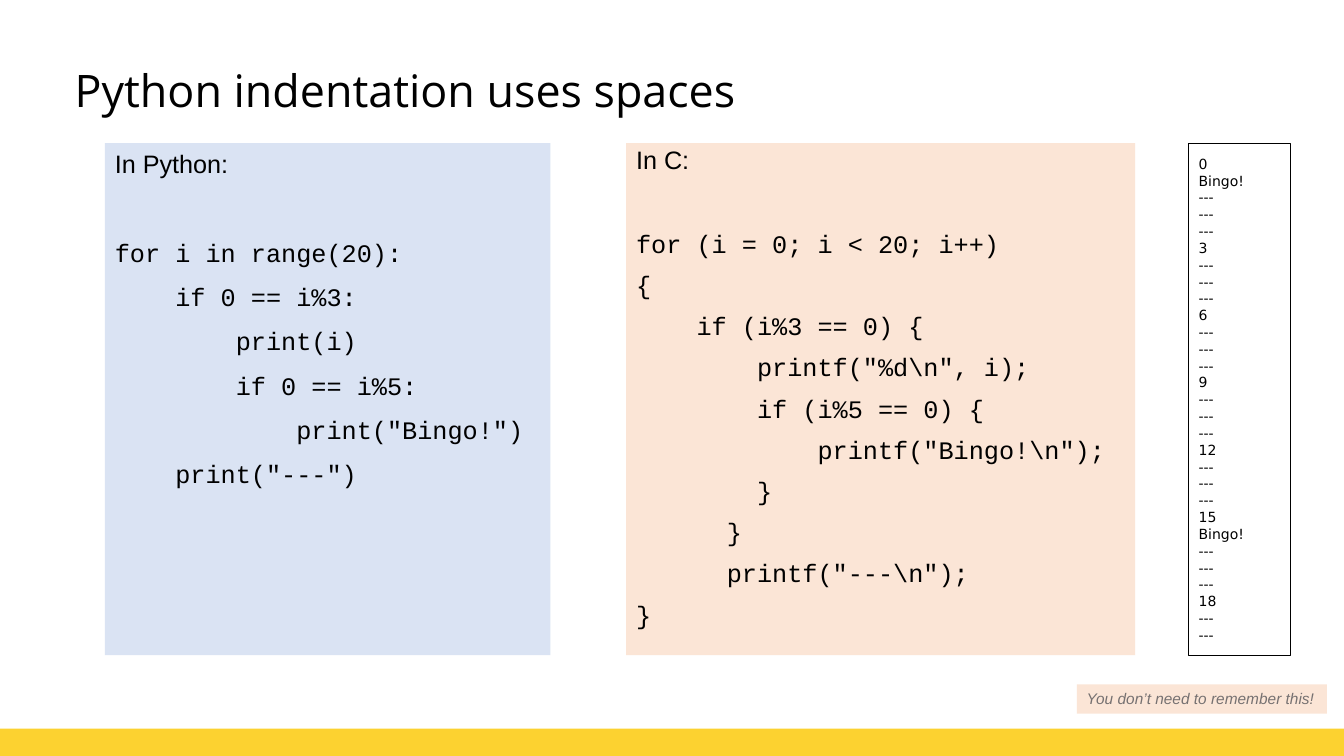
from pptx import Presentation
from pptx.dml.color import RGBColor
from pptx.enum.shapes import MSO_SHAPE
from pptx.enum.text import MSO_ANCHOR, PP_ALIGN
from pptx.util import Inches, Pt

BLACK = RGBColor(0x00, 0x00, 0x00)
GRAY = RGBColor(0x76, 0x71, 0x71)
YELLOW = RGBColor(0xFC, 0xD2, 0x30)
BLUE = RGBColor(0xDA, 0xE3, 0xF3)
PEACH = RGBColor(0xFB, 0xE5, 0xD6)

PANEL_TOP, PANEL_HEIGHT = 1.42, 5.08
CHARACTER_WIDTH = 0.15

PYTHON_CODE = [
    (0, "for i in range(20):"),
    (4, "if 0 == i%3:"),
    (8, "print(i)"),
    (8, "if 0 == i%5:"),
    (12, 'print("Bingo!")'),
    (4, 'print("---")'),
]
C_CODE = [
    (0, "for (i = 0; i < 20; i++)"),
    (0, "{"),
    (4, "if (i%3 == 0) {"),
    (8, r'printf("%d\n", i);'),
    (8, "if (i%5 == 0) {"),
    (12, r'printf("Bingo!\n");'),
    (8, "}"),
    (6, "}"),
    (6, r'printf("---\n");'),
    (0, "}"),
]


def program_output():
    lines = []
    for i in range(20):
        if i % 3 == 0:
            lines.append(str(i))
            if i % 5 == 0:
                lines.append("Bingo!")
        lines.append("---")
    return lines


def write(paragraph, text, font="Arial", size=18, color=BLACK, italic=False,
          before=0, spacing=1.0, columns=0):
    paragraph.alignment = PP_ALIGN.LEFT
    paragraph.space_before = Pt(before)
    paragraph.line_spacing = spacing
    if columns:
        properties = paragraph._p.get_or_add_pPr()
        properties.set("marL", str(Inches(columns * CHARACTER_WIDTH)))
        properties.set("indent", "0")
    run = paragraph.add_run()
    run.text = text
    run.font.name = font
    run.font.size = Pt(size)
    run.font.italic = italic
    run.font.color.rgb = color


class SlideBuilder:
    """Draws the elements of one slide in a shared style."""

    def __init__(self, slide):
        self.slide = slide

    def box(self, left, top, width, height, fill=None, line=None,
            anchor=MSO_ANCHOR.TOP, wrap=True):
        shape = self.slide.shapes.add_shape(
            MSO_SHAPE.RECTANGLE, Inches(left), Inches(top), Inches(width), Inches(height))
        shape.shadow.inherit = False
        if fill is None:
            shape.fill.background()
        else:
            shape.fill.solid()
            shape.fill.fore_color.rgb = fill
        if line is None:
            shape.line.fill.background()
        else:
            shape.line.color.rgb = line
            shape.line.width = Pt(0.75)
        shape.text_frame.word_wrap = wrap
        shape.text_frame.vertical_anchor = anchor
        return shape.text_frame

    def title(self, text):
        shape = self.slide.shapes.add_textbox(
            Inches(0.67), Inches(0.3), Inches(12), Inches(1.25))
        frame = shape.text_frame
        frame.word_wrap = True
        frame.vertical_anchor = MSO_ANCHOR.MIDDLE
        frame.margin_left = frame.margin_right = Inches(0.07)
        frame.margin_top = frame.margin_bottom = Inches(0.04)
        write(frame.paragraphs[0], text, font="Open Sans", size=32, spacing=0.9)

    def code_panel(self, left, width, fill, heading, code, spacing, gap):
        frame = self.box(left, PANEL_TOP, width, PANEL_HEIGHT, fill=fill)
        write(frame.paragraphs[0], heading, spacing=spacing)
        for number, (columns, text) in enumerate(code):
            write(frame.add_paragraph(), text, font="Courier New", spacing=spacing,
                  before=10 if number else gap, columns=columns)

    def output_panel(self, lines):
        frame = self.box(11.79, PANEL_TOP, 1.01, PANEL_HEIGHT, line=BLACK,
                         anchor=MSO_ANCHOR.MIDDLE)
        for number, text in enumerate(lines):
            paragraph = frame.add_paragraph() if number else frame.paragraphs[0]
            write(paragraph, text, font="DejaVu Sans", size=10)

    def note(self, text):
        frame = self.box(10.68, 6.79, 2.48, 0.29, fill=PEACH, wrap=False)
        write(frame.paragraphs[0], text, size=11, color=GRAY, italic=True)


def main():
    presentation = Presentation()
    presentation.slide_width = Inches(13.33)
    presentation.slide_height = Inches(7.5)
    slide = presentation.slides.add_slide(presentation.slide_layouts[6])
    builder = SlideBuilder(slide)
    builder.box(0, 7.23, 13.33, 0.27, fill=YELLOW)
    builder.code_panel(1.04, 4.42, BLUE, "In Python:", PYTHON_CODE, spacing=1.0, gap=42)
    builder.code_panel(6.21, 5.05, PEACH, "In C:", C_CODE, spacing=0.9, gap=40)
    builder.output_panel(program_output())
    builder.title("Python indentation uses spaces")
    builder.note("You don’t need to remember this!")
    presentation.save("out.pptx")


if __name__ == "__main__":
    main()
